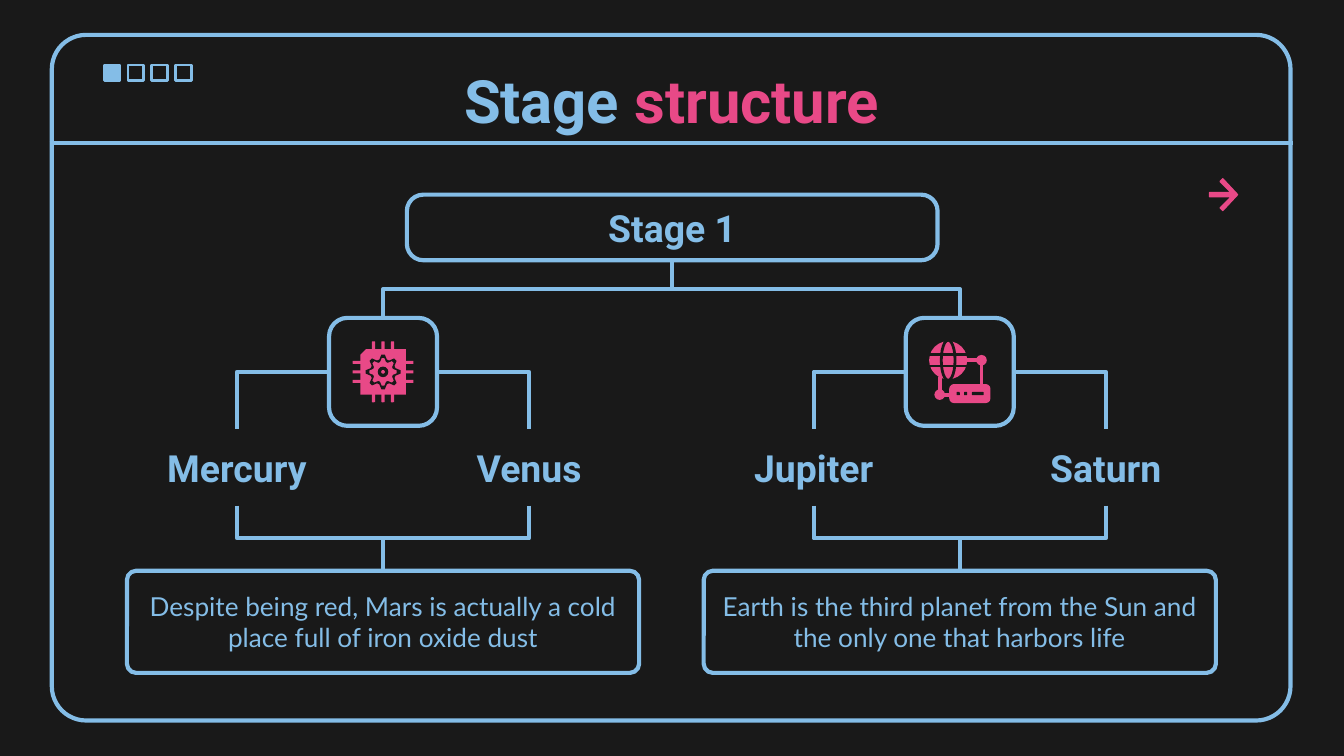
"""Build the stage structure slide: one stage, two branches, four planets."""
from dataclasses import dataclass
from math import cos, pi, sin
from typing import Callable, Optional

from lxml.etree import SubElement
from pptx import Presentation
from pptx.dml.color import RGBColor
from pptx.enum.shapes import MSO_CONNECTOR, MSO_SHAPE
from pptx.enum.text import MSO_ANCHOR, PP_ALIGN
from pptx.oxml.ns import qn
from pptx.shapes.autoshape import Shape
from pptx.shapes.connector import Connector
from pptx.shapes.shapetree import SlideShapes
from pptx.util import Cm, Pt

Point = tuple[float, float]


@dataclass(frozen=True)
class Theme:
    background: RGBColor = RGBColor(0x19, 0x19, 0x19)
    blue: RGBColor = RGBColor(0x84, 0xBD, 0xE7)
    pink: RGBColor = RGBColor(0xE8, 0x49, 0x87)
    heading_font: str = "Roboto"
    body_font: str = "Lato"
    title_size: Pt = Pt(32)
    label_size: Pt = Pt(20)
    body_size: Pt = Pt(14)
    stroke: Pt = Pt(2.25)
    thin_stroke: Pt = Pt(1.5)


@dataclass(frozen=True)
class Box:
    left: float
    top: float
    width: float
    height: float

    @classmethod
    def around(cls, x: float, y: float, width: float, height: float) -> "Box":
        return cls(x - width / 2, y - height / 2, width, height)

    def lengths(self) -> tuple[Cm, ...]:
        return Cm(self.left), Cm(self.top), Cm(self.width), Cm(self.height)


@dataclass(frozen=True)
class Branch:
    center: float
    planets: tuple[str, str]
    fact: str
    draw_icon: Callable[[SlideShapes, float, float], None]


THEME = Theme()


def paint(shape: Shape, fill: Optional[RGBColor], line: Optional[RGBColor], width: Pt) -> Shape:
    shape.shadow.inherit = False
    if fill is None:
        shape.fill.background()
    else:
        shape.fill.solid()
        shape.fill.fore_color.rgb = fill
    if line is None:
        shape.line.fill.background()
    else:
        shape.line.color.rgb = line
        shape.line.width = width
    return shape


def draw_shape(shapes: SlideShapes, kind: MSO_SHAPE, box: Box, fill: Optional[RGBColor] = None,
               line: Optional[RGBColor] = None, width: Pt = THEME.stroke) -> Shape:
    return paint(shapes.add_shape(kind, *box.lengths()), fill, line, width)


def draw_panel(shapes: SlideShapes, box: Box, rounding: float,
               line: Optional[RGBColor] = THEME.blue) -> Shape:
    panel = draw_shape(shapes, MSO_SHAPE.ROUNDED_RECTANGLE, box, line=line)
    panel.adjustments[0] = rounding
    return panel


def draw_polygon(shapes: SlideShapes, points: list[Point], fill: RGBColor) -> Shape:
    corners = [(Cm(x), Cm(y)) for x, y in points]
    builder = shapes.build_freeform(*corners[0])
    builder.add_line_segments(corners[1:], close=True)
    return paint(builder.convert_to_shape(), fill, None, THEME.stroke)


def draw_line(shapes: SlideShapes, kind: MSO_CONNECTOR, start: Point, end: Point,
              color: RGBColor = THEME.blue, width: Pt = THEME.stroke) -> Connector:
    line = shapes.add_connector(kind, *(Cm(value) for value in (*start, *end)))
    line.line.color.rgb = color
    line.line.width = width
    SubElement(line._element.spPr, qn("a:effectLst"))
    return line


def draw_corner(shapes: SlideShapes, start: Point, end: Point) -> None:
    corner = draw_line(shapes, MSO_CONNECTOR.ELBOW, start, end)
    corner._element.spPr.find(qn("a:prstGeom")).set("prst", "bentConnector2")


def draw_drop(shapes: SlideShapes, start: Point, end: Point) -> None:
    middle_x, middle_y = (start[0] + end[0]) / 2, (start[1] + end[1]) / 2
    half_run, half_drop = abs(end[0] - start[0]) / 2, (end[1] - start[1]) / 2
    drop = draw_line(shapes, MSO_CONNECTOR.ELBOW, (middle_x - half_drop, middle_y - half_run),
                     (middle_x + half_drop, middle_y + half_run))
    frame = drop._element.spPr.find(qn("a:xfrm"))
    if end[0] < start[0]:
        frame.set("rot", "5400000")
    else:
        frame.set("rot", "16200000")
        frame.set("flipH", "1")


def write(shape: Shape, text: str, size: Pt, font: str = THEME.heading_font, bold: bool = True,
          anchor: MSO_ANCHOR = MSO_ANCHOR.MIDDLE) -> Shape:
    frame = shape.text_frame
    frame.word_wrap = True
    frame.vertical_anchor = anchor
    frame.margin_left = frame.margin_right = frame.margin_top = frame.margin_bottom = Cm(0.25)
    frame.text = text
    paragraph = frame.paragraphs[0]
    paragraph.alignment = PP_ALIGN.CENTER
    for run in paragraph.runs:
        run.font.name, run.font.size, run.font.bold = font, size, bold
        run.font.color.rgb = THEME.blue
    return shape


def draw_gear(shapes: SlideShapes, x: float, y: float, radius: float, fill: RGBColor) -> None:
    reach = (1, 1, 0.74, 0.74)
    angles = [(step - 0.5) * pi / 16 for step in range(32)]
    draw_polygon(shapes, [(x + radius * reach[step % 4] * cos(angle),
                           y + radius * reach[step % 4] * sin(angle))
                          for step, angle in enumerate(angles)], fill)


def draw_chip(shapes: SlideShapes, x: float, y: float) -> None:
    for offset in (-0.18, 0, 0.18):
        for pin in (Box.around(x + offset, y, 0.06, 1.15), Box.around(x, y + offset, 1.15, 0.06)):
            draw_shape(shapes, MSO_SHAPE.ROUNDED_RECTANGLE, pin, THEME.pink)
    half, cut = 0.43, 0.32
    draw_polygon(shapes, [(x - cut, y - half), (x + half, y - half), (x + half, y + half),
                          (x - half, y + half), (x - half, y - cut)], THEME.pink)
    draw_gear(shapes, x, y, 0.33, THEME.background)
    draw_gear(shapes, x, y, 0.26, THEME.pink)
    for size, color in ((0.2, THEME.background), (0.07, THEME.pink)):
        draw_shape(shapes, MSO_SHAPE.OVAL, Box.around(x, y, size, size), color)


def draw_network(shapes: SlideShapes, x: float, y: float) -> None:
    globe_x, globe_y = x - 0.22, y - 0.22
    draw_shape(shapes, MSO_SHAPE.OVAL, Box.around(globe_x, globe_y, 0.72, 0.72), THEME.pink)
    draw_shape(shapes, MSO_SHAPE.OVAL, Box.around(globe_x, globe_y, 0.26, 0.76),
               line=THEME.background, width=THEME.thin_stroke)
    for offset in (-0.11, 0.11):
        draw_line(shapes, MSO_CONNECTOR.STRAIGHT, (globe_x - 0.37, globe_y + offset),
                  (globe_x + 0.37, globe_y + offset), THEME.background, THEME.thin_stroke)
    upper, lower = (x + 0.41, globe_y), (x - 0.38, y + 0.43)
    for start, end in (((x + 0.1, globe_y), upper), (upper, (x + 0.41, y + 0.3)),
                       (lower, (x - 0.38, y + 0.1)), (lower, (x - 0.15, y + 0.43))):
        draw_line(shapes, MSO_CONNECTOR.STRAIGHT, start, end, THEME.pink, Pt(2))
    for node in (upper, lower):
        draw_shape(shapes, MSO_SHAPE.OVAL, Box.around(*node, 0.2, 0.2), THEME.pink)
    draw_panel(shapes, Box(x - 0.2, y + 0.23, 0.78, 0.36), 0.25, None).fill.solid()
    shapes[-1].fill.fore_color.rgb = THEME.pink
    for offset, width in ((-0.03, 0.06), (0.11, 0.06), (0.34, 0.22)):
        draw_shape(shapes, MSO_SHAPE.ROUNDED_RECTANGLE,
                   Box.around(x + offset, y + 0.41, width, 0.06), THEME.background)


def draw_header(shapes: SlideShapes) -> None:
    draw_panel(shapes, Box(0.98, 0.66, 23.41, 12.96), 0.05)
    draw_line(shapes, MSO_CONNECTOR.STRAIGHT, (0.94, 2.7), (24.43, 2.7))
    for step in range(4):
        draw_shape(shapes, MSO_SHAPE.RECTANGLE, Box(1.97 + 0.45 * step, 1.23, 0.3, 0.3),
                   None if step else THEME.blue, THEME.blue, THEME.thin_stroke)
    title = write(shapes.add_textbox(*Box(2, 1.23, 21.39, 1.59).lengths()), "Stage ",
                  THEME.title_size, anchor=MSO_ANCHOR.BOTTOM)
    accent = title.text_frame.paragraphs[0].add_run()
    accent.text = "structure"
    accent.font.name, accent.font.size, accent.font.bold = THEME.heading_font, THEME.title_size, True
    accent.font.color.rgb = THEME.pink
    x, y = 23.39, 3.68
    upper_edge = [(x - 0.53, y - 0.04), (x - 0.12, y - 0.04), (x - 0.33, y - 0.25), (x - 0.28, y - 0.3)]
    lower_edge = [(px, 2 * y - py) for px, py in reversed(upper_edge)]
    arrow = draw_polygon(shapes, [*upper_edge, (x, y), *lower_edge], THEME.pink)
    paint(arrow, THEME.pink, THEME.pink, Pt(0.75))


def draw_branch(shapes: SlideShapes, branch: Branch) -> None:
    x, icon_y, icon_size = branch.center, 7.03, 2.04
    label_top, label_height, fact_top = 8.11, 1.45, 10.79
    draw_drop(shapes, (12.7, 4.92), (x, icon_y - icon_size / 2))
    draw_panel(shapes, Box.around(x, icon_y, icon_size, icon_size), 0.17)
    branch.draw_icon(shapes, x, icon_y)
    for side, planet in zip((-1, 1), branch.planets):
        planet_x = x + side * 2.76
        label = draw_panel(shapes, Box(planet_x - 2.08, label_top, 4.16, label_height), 0, None)
        write(label, planet, THEME.label_size)
        draw_corner(shapes, (x + side * icon_size / 2, icon_y), (planet_x, label_top))
        draw_drop(shapes, (planet_x, label_top + label_height), (x, fact_top))
    fact = draw_panel(shapes, Box(x - 4.84, fact_top, 9.68, 1.93), 0.09)
    write(fact, branch.fact, THEME.body_size, THEME.body_font, bold=False)


def main() -> None:
    deck = Presentation()
    deck.slide_width, deck.slide_height = Cm(25.4), Cm(14.29)
    slide = deck.slides.add_slide(deck.slide_layouts[6])
    slide.background.fill.solid()
    slide.background.fill.fore_color.rgb = THEME.background
    draw_header(slide.shapes)
    write(draw_panel(slide.shapes, Box(7.69, 3.68, 10.03, 1.24), 0.25), "Stage 1", THEME.label_size)
    for branch in (
        Branch(7.24, ("Mercury", "Venus"),
               "Despite being red, Mars is actually a cold place full of iron oxide dust", draw_chip),
        Branch(18.14, ("Jupiter", "Saturn"),
               "Earth is the third planet from the Sun and the only one that harbors life", draw_network),
    ):
        draw_branch(slide.shapes, branch)
    deck.save("out.pptx")


if __name__ == "__main__":
    main()
